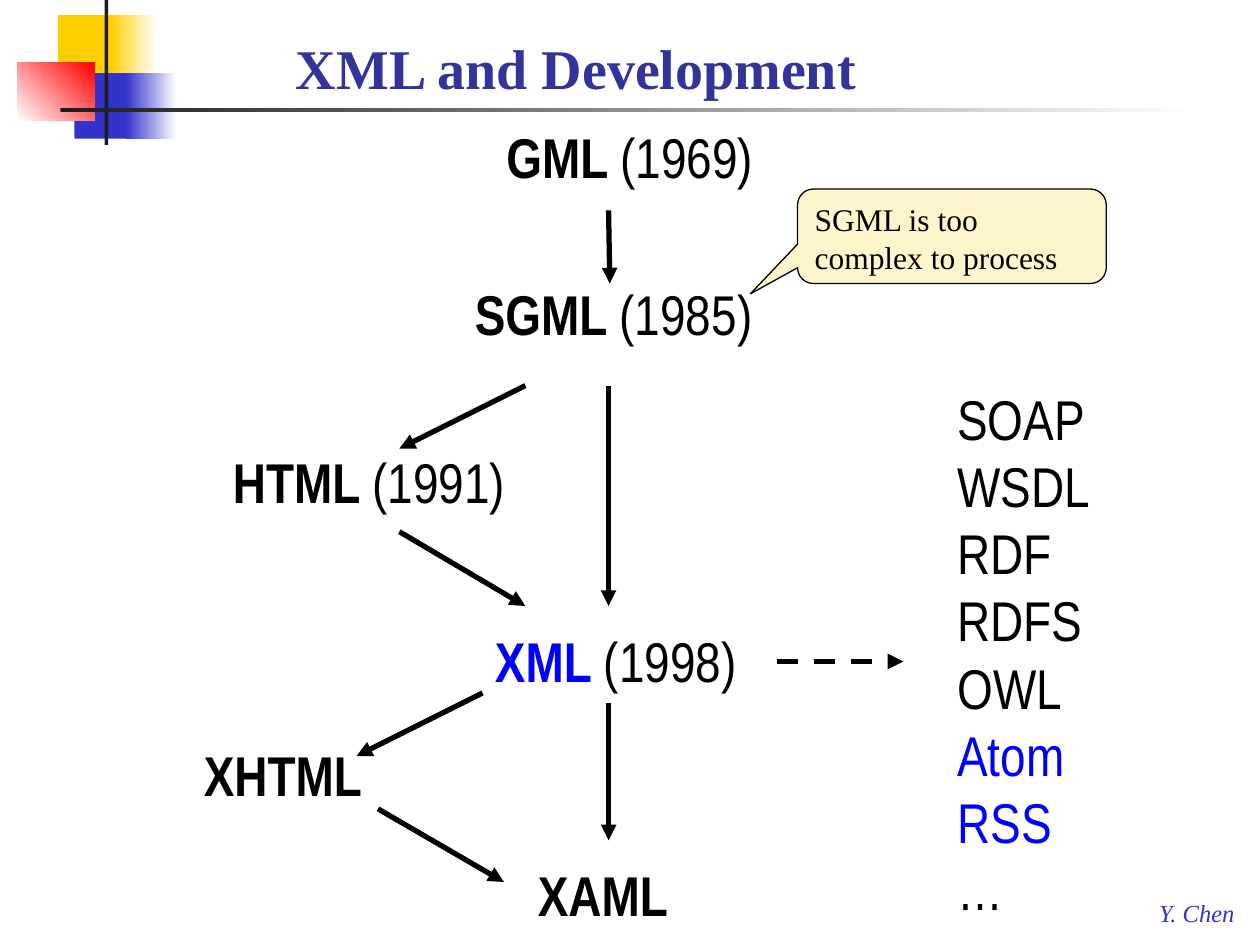
from lxml import etree
from pptx import Presentation
from pptx.dml.color import RGBColor
from pptx.enum.dml import MSO_LINE
from pptx.enum.shapes import MSO_CONNECTOR, MSO_SHAPE
from pptx.enum.text import MSO_ANCHOR, MSO_AUTO_SIZE, PP_ALIGN
from pptx.oxml.ns import qn
from pptx.util import Inches, Pt

RECT, CALLOUT = MSO_SHAPE.RECTANGLE, MSO_SHAPE.ROUNDED_RECTANGULAR_CALLOUT
STRAIGHT, DASH = MSO_CONNECTOR.STRAIGHT, MSO_LINE.DASH
TOP, BOTTOM, LEFT = MSO_ANCHOR.TOP, MSO_ANCHOR.BOTTOM, PP_ALIGN.LEFT
GROW, FIXED = MSO_AUTO_SIZE.SHAPE_TO_FIT_TEXT, MSO_AUTO_SIZE.NONE

HUES = {
    "black": "000000", "white": "FFFFFF", "blue": "0000FF", "title": "333399",
    "gold": "FFCF01", "navy": "3333CC", "red": "FF0000", "dark": "1C1C1C",
    "cream": "FFF5CC",
}
SANS, SERIF = "Arial Narrow", "Times New Roman"

# Corner decoration: box, colours (two make a gradient), angle
DECOR = [
    ((0.46, 0.12, 0.48, 0.52), ["gold"], 0),
    ((0.88, 0.12, 0.36, 0.52), ["gold", "white"], 0),
    ((0.59, 0.58, 0.46, 0.52), ["navy"], 0),
    ((1, 0.58, 0.4, 0.52), ["navy", "white"], 0),
    ((0.14, 0.5, 0.61, 0.46), ["white", "red"], 45),
    ((0.83, 0, 0.03, 1.15), ["dark"], 0),
    ((0.48, 0.86, 9, 0.03), ["dark", "white"], 0),
]

# Languages: left, top, width, name, year, colour of the name
NODES = [
    (3.92, 0.92, 2.18, "GML", "1969", "black"),
    (3.67, 2.17, 2.43, "SGML", "1985", "black"),
    (1.75, 3.5, 2.39, "HTML", "1991", "black"),
    (3.83, 4.92, 2.14, "XML", "1998", "blue"),
    (1.52, 5.83, 1.56, "XHTML", None, "black"),
    (4.17, 6.78, 1.34, "XAML", None, "black"),
]
NODE_H = 0.64

# Formats built on XML
USES = [("SOAP", "black"), ("WSDL", "black"), ("RDF", "black"), ("RDFS", "black"),
        ("OWL", "black"), ("Atom", "blue"), ("RSS", "blue"), ("…", "black")]

# Arrows: from, to, dash
ARROWS = [
    ((4.83, 1.67), (4.84, 2.25), None),
    ((4.17, 3.06), (3.17, 3.56), None),
    ((4.83, 3.06), (4.83, 4.81), None),
    ((3.17, 4.22), (4.17, 4.81), None),
    ((3.83, 5.5), (2.83, 6), None),
    ((4.83, 5.58), (4.83, 6.67), None),
    ((3, 6.42), (4, 7), None),
    ((6.17, 5.25), (7.17, 5.25), DASH),
]


def color(name):
    return RGBColor.from_string(HUES[name])


def write(shape, lines, wrap=False, anchor=TOP, size=GROW):
    """Each line is a list of (text, colour, font formats)."""
    frame = shape.text_frame
    frame.word_wrap, frame.vertical_anchor, frame.auto_size = wrap, anchor, size
    for i, line in enumerate(lines):
        para = frame.add_paragraph() if i else frame.paragraphs[0]
        para.alignment = LEFT
        for text, hue, form in line:
            run = para.add_run()
            run.text = text
            run.font.color.rgb = color(hue)
            for key, value in form.items():
                setattr(run.font, key, value)


def add_text(box, lines, **frame):
    write(slide.shapes.add_textbox(*map(Inches, box)), lines, **frame)


def add_shape(kind, box, hues, angle=0):
    shape = slide.shapes.add_shape(kind, *map(Inches, box))
    shape.shadow.inherit = False
    shape.line.fill.background()
    if len(hues) == 1:
        shape.fill.solid()
        shape.fill.fore_color.rgb = color(hues[0])
    else:
        shape.fill.gradient()
        shape.fill.gradient_angle = angle
        for stop, hue in zip(shape.fill.gradient_stops, hues):
            stop.color.rgb = color(hue)
    return shape


def add_arrow(start, end, dash):
    arrow = slide.shapes.add_connector(STRAIGHT, *map(Inches, start + end))
    arrow.line.width = Pt(3)
    arrow.line.color.rgb = color("black")
    if dash:
        arrow.line.dash_style = dash
    etree.SubElement(arrow.line._get_or_add_ln(), qn("a:tailEnd"), type="triangle")
    etree.SubElement(arrow._element.spPr, qn("a:effectLst"))


deck = Presentation()
deck.slide_width, deck.slide_height = Inches(10), Inches(7.5)
slide = deck.slides.add_slide(deck.slide_layouts[6])

# Decoration, author and title
for box, hues, angle in DECOR:
    add_shape(RECT, box, hues, angle)
add_text((9.1, 7.08, 0.82, 0.33),
         [[("Y. Chen", "navy", {"name": SERIF, "size": Pt(14), "italic": True})]])
add_text((2.25, 0.17, 7.67, 0.68),
         [[("XML and Development", "title",
            {"name": SERIF, "size": Pt(32), "bold": True})]],
         wrap=True, anchor=BOTTOM, size=FIXED)

# Family tree
for arrow in ARROWS:
    add_arrow(*arrow)
plain = {"name": SANS, "size": Pt(32), "bold": False}
bold = {**plain, "bold": True}
for left, top, width, name, year, hue in NODES:
    line = [(name, hue, bold)]
    if year:
        line = [(name + " ", hue, bold), (f"({year})", "black", plain)]
    add_text((left, top, width, NODE_H), [line])
add_text((7.5, 3, 1.28, 4.41), [[(name, hue, plain)] for name, hue in USES])

# Callout
note = add_shape(CALLOUT, (6.33, 1.5, 2.45, 0.75), ["cream"])
for i, value in enumerate((-0.653, 0.61, 0.167)):
    note.adjustments[i] = value
note.line.color.rgb = color("black")
note.line.width = Pt(0.75)
write(note, [[("SGML is too complex to process", "black",
               {"name": SERIF, "size": Pt(18)})]], wrap=True, size=FIXED)

deck.save("out.pptx")
